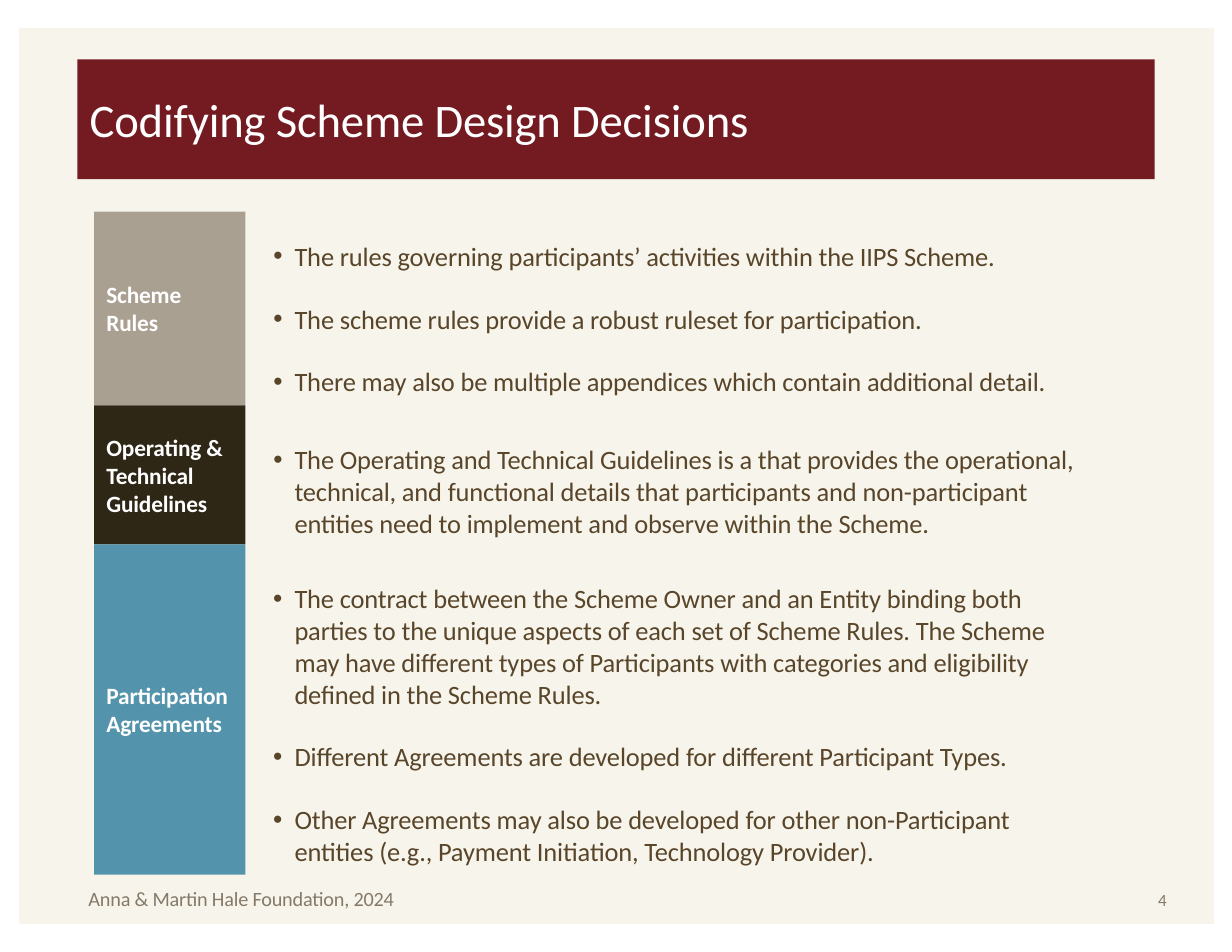
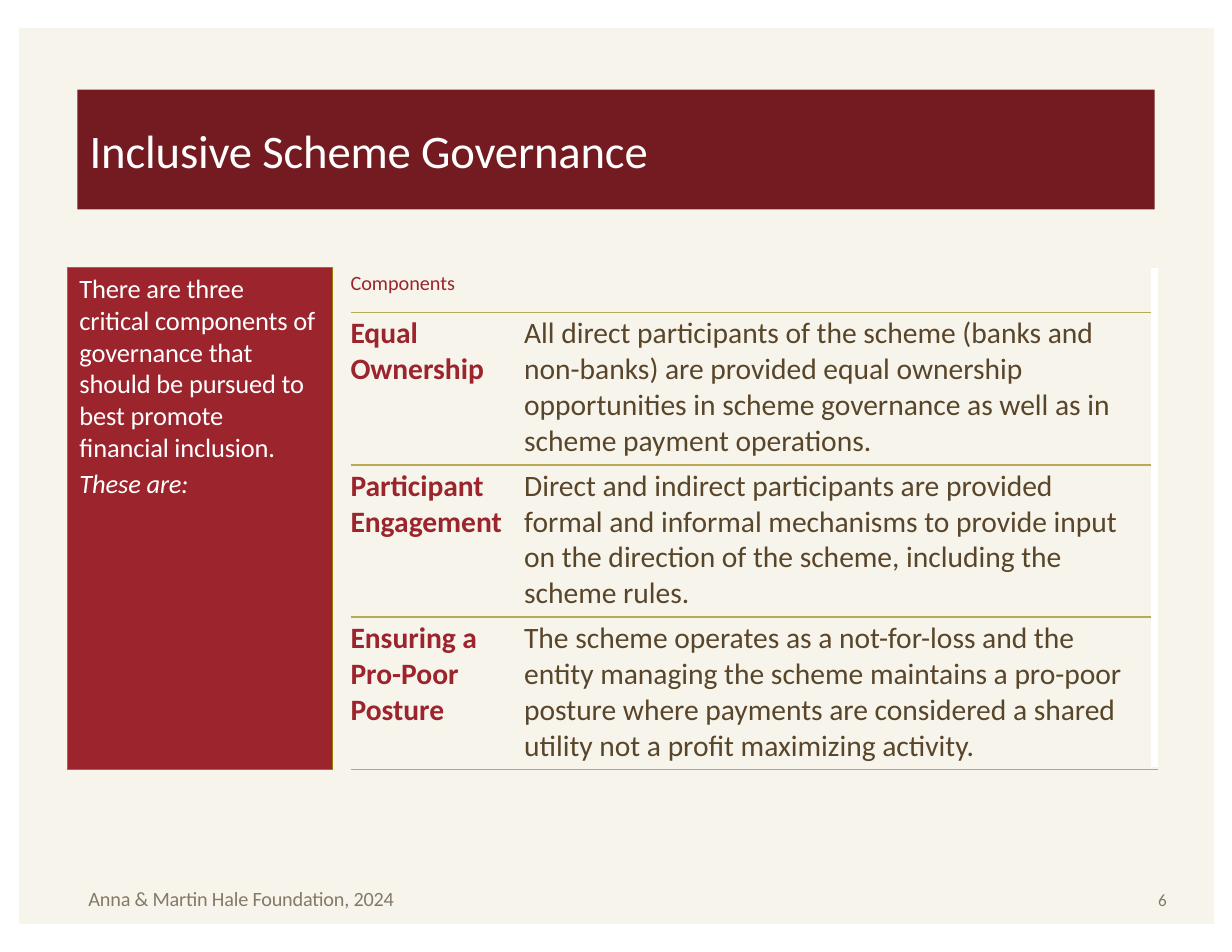
from pptx import Presentation
from pptx.dml.color import RGBColor
from pptx.enum.shapes import MSO_CONNECTOR as Connector, MSO_SHAPE as Shape
from pptx.enum.text import MSO_ANCHOR as Anchor
from pptx.oxml.ns import qn
from pptx.util import Inches, Pt
from lxml.etree import SubElement

# Colours and font
FONT = "Calibri"
CREAM = RGBColor(0xF7, 0xF5, 0xEB)
MAROON = RGBColor(0x74, 0x1B, 0x22)
RED = RGBColor(0x9B, 0x24, 0x2D)
WHITE = RGBColor(0xFF, 0xFF, 0xFF)
BROWN = RGBColor(0x59, 0x45, 0x2A)
GREY = RGBColor(0x85, 0x79, 0x68)
TAUPE = RGBColor(0xAA, 0xA0, 0x92)
DARK = RGBColor(0x2F, 0x27, 0x16)
BLUE = RGBColor(0x53, 0x93, 0xAB)
GOLD = RGBColor(0xBA, 0xAA, 0x58)
OLIVE = RGBColor(0x97, 0x7C, 0x00)
PLAIN_TABLE = "{2D5ABB26-0587-4C30-8999-92F81FD0307C}"

# Content
FOOTER = "Anna & Martin Hale Foundation, 2024"

# label, colour, bar height, offset of the bullets, width of the bullets, bullets
SECTIONS = [
    ("Scheme\vRules", TAUPE, 1.73, 0.25, 7.25, [
        "The rules governing participants’ activities within the IIPS Scheme.",
        "The scheme rules provide a robust ruleset for participation.",
        "There may also be multiple appendices which contain additional detail.",
    ]),
    ("Operating & Technical Guidelines", DARK, 1.24, 0.34, 7.35, [
        "The Operating and Technical Guidelines is a that provides the operational, "
        "technical, and functional details that participants and non-participant "
        "entities need to implement and observe within the Scheme.",
    ]),
    ("Participation Agreements", BLUE, 2.95, 0.34, 7.2, [
        "The contract between the Scheme Owner and an Entity binding both parties to "
        "the unique aspects of each set of Scheme Rules. The Scheme may have different "
        "types of Participants with categories and eligibility defined in the Scheme Rules.",
        "Different Agreements are developed for different Participant Types.",
        "Other Agreements may also be developed for other non-Participant entities "
        "(e.g., Payment Initiation, Technology Provider).",
    ]),
]

INTRO = ("There are three\vcritical components of\vgovernance that\v"
         "should be pursued to\vbest promote\vfinancial inclusion.")
COMPONENTS = [
    ("Equal Ownership",
     "All direct participants of the scheme (banks and non-banks) are provided equal "
     "ownership opportunities in scheme governance as well as in scheme payment operations."),
    ("Participant Engagement",
     "Direct and indirect participants are provided\vformal and informal mechanisms to "
     "provide input on the direction of the scheme, including the scheme rules."),
    ("Ensuring a Pro-Poor Posture",
     "The scheme operates as a not-for-loss and the entity managing the scheme maintains "
     "a pro-poor posture where payments are considered a shared utility not a profit "
     "maximizing activity."),
]


def style(para, size, color, bold=False, italic=False, tight=True):
    font = para.font
    font.name, font.size, font.bold, font.italic = FONT, Pt(size), bold, italic
    font.color.rgb = color
    if tight:
        font._rPr.set("spc", "-10")


def set_frame(frame, anchor=Anchor.TOP, left=0, top=0):
    frame.word_wrap = True
    frame.vertical_anchor = anchor
    frame.margin_left, frame.margin_top = Inches(left), Inches(top)
    frame.margin_right = frame.margin_bottom = 0


def add_panel(page, left, top, width, height, fill, line=None):
    panel = page.shapes.add_shape(
        Shape.RECTANGLE, Inches(left), Inches(top), Inches(width), Inches(height))
    panel.shadow.inherit = False
    panel.fill.solid()
    panel.fill.fore_color.rgb = fill
    if line is None:
        panel.line.fill.background()
    else:
        panel.line.color.rgb = line
        panel.line.width = Pt(0.8)
    return panel


def write_panel(panel, text, size, bold=False, anchor=Anchor.MIDDLE, top=0):
    set_frame(panel.text_frame, anchor, left=0.11, top=top)
    para = panel.text_frame.paragraphs[0]
    para.text = text
    para.alignment = 1
    style(para, size, WHITE, bold)


def add_box(page, left, top, width, height):
    box = page.shapes.add_textbox(Inches(left), Inches(top), Inches(width), Inches(height))
    set_frame(box.text_frame)
    return box.text_frame


def add_page(deck, title, title_top, number):
    """Cream background, title band, footer and page number."""
    page = deck.slides.add_slide(deck.slide_layouts[6])
    add_panel(page, 0.17, 0.25, 10.67, 8, CREAM)
    band = add_panel(page, 0.69, title_top, 9.62, 1.07, MAROON)
    write_panel(band, title, 30)
    for text, left, top, width, size in (
            (FOOTER, 0.79, 7.91, 3.2, 13), (str(number), 10.34, 7.94, 0.2, 11)):
        para = add_box(page, left, top, width, 0.25).paragraphs[0]
        para.text = text
        style(para, size, GREY)
    return page


def add_bullets(page, left, top, width, height, bullets):
    frame = add_box(page, left, top, width, height)
    for index, text in enumerate(bullets):
        para = frame.paragraphs[0] if index == 0 else frame.add_paragraph()
        para.text = text
        if index:
            para.space_before = Pt(20)
        props = para._p.get_or_add_pPr()
        props.set("marL", str(Inches(0.2)))
        props.set("indent", str(-Inches(0.19)))
        SubElement(props, qn("a:buFont"), typeface="Arial")
        SubElement(props, qn("a:buChar"), char="•")
        style(para, 17, BROWN)


def fill_cell(cell, text, size, color, bold=False, right=0):
    """Write a cell that has only a gold rule below it."""
    rule = SubElement(cell._tc.get_or_add_tcPr(), qn("a:lnB"), w=str(Pt(1.07)))
    solid = SubElement(rule, qn("a:solidFill"))
    SubElement(solid, qn("a:srgbClr"), val=str(GOLD))
    cell.fill.background()
    cell.margin_left = cell.margin_bottom = 0
    cell.margin_top, cell.margin_right = Inches(0.03), Inches(right)
    para = cell.text_frame.paragraphs[0]
    para.text = text
    style(para, size, color, bold, tight=False)


def add_decisions(deck):
    page = add_page(deck, "Codifying Scheme Design Decisions", 0.53, 4)
    top = 1.89
    for label, color, height, offset, width, bullets in SECTIONS:
        bar = add_panel(page, 0.84, top, 1.35, height, color)
        write_panel(bar, label, 15, bold=True)
        add_bullets(page, 2.43, top + offset, width, height - offset, bullets)
        top += height


def add_governance(deck):
    page = add_page(deck, "Inclusive Scheme Governance", 0.8, 6)

    # Introduction panel
    top, height = 2.39, 4.48
    panel = add_panel(page, 0.6, top, 2.37, height, RED, OLIVE)
    write_panel(panel, INTRO, 17, anchor=Anchor.TOP, top=0.04)
    closing = panel.text_frame.add_paragraph()
    closing.text = "These are:"
    closing.alignment = 1
    closing.space_before = Pt(2.6)
    style(closing, 17, WHITE, italic=True)

    # Components table
    left, widths, heights = 3.13, (1.55, 5.66), (0.4, 1.36, 1.36, 1.36)
    frame = page.shapes.add_table(
        len(heights), len(widths), Inches(left), Inches(top),
        Inches(sum(widths)), Inches(height))
    table = frame.table
    table.first_row = table.horz_banding = False
    table._tbl.tblPr.find(qn("a:tableStyleId")).text = PLAIN_TABLE
    for column, width in zip(table.columns, widths):
        column.width = Inches(width)
    for row, row_height in zip(table.rows, heights):
        row.height = Inches(row_height)
    for row, (name, detail) in zip(list(table.rows), [("Components", "")] + COMPONENTS):
        header = not detail
        fill_cell(row.cells[0], name, 13 if header else 19, RED, bold=not header)
        fill_cell(row.cells[1], detail, 13 if header else 19, BROWN, right=0.23)
    table.cell(0, 0).merge(table.cell(0, 1))

    # White edge right of the table
    edge_x = Inches(10.31)
    edge = page.shapes.add_connector(
        Connector.STRAIGHT, edge_x, Inches(top), edge_x, Inches(top + height - 0.02))
    edge.line.color.rgb = WHITE
    edge.line.width = Pt(4.8)
    SubElement(edge._element.spPr, qn("a:effectLst"))


def main():
    deck = Presentation()
    deck.slide_width, deck.slide_height = Inches(11), Inches(8.5)
    add_decisions(deck)
    add_governance(deck)
    deck.save("out.pptx")


if __name__ == "__main__":
    main()
